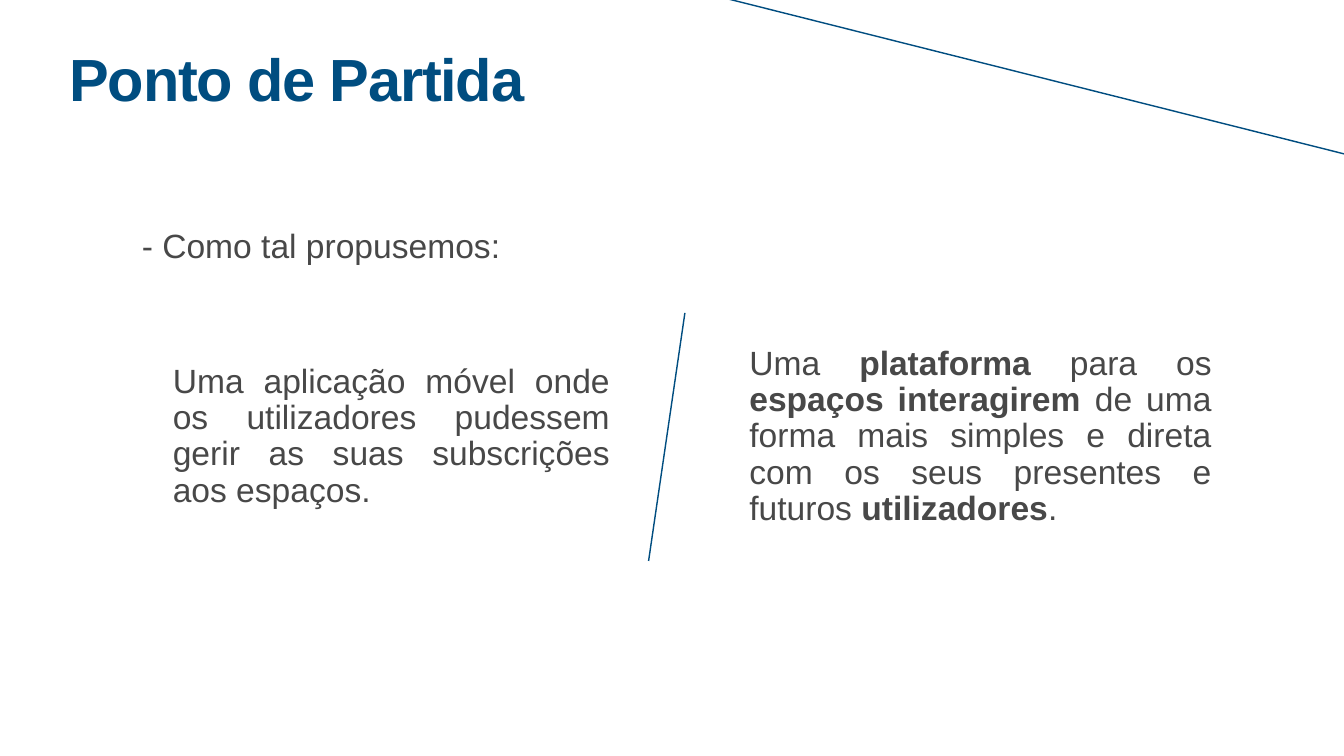
from lxml import etree
from pptx import Presentation
from pptx.dml.color import RGBColor
from pptx.enum import shapes, text
from pptx.oxml import ns
from pptx.util import Cm, Pt

BLUE = RGBColor(0x00, 0x4D, 0x80)
GREY = RGBColor(0x48, 0x48, 0x48)


class SlideBuilder:
    font = "Arial"
    inset = Cm(0.15)
    line_width = Pt(2)

    def __init__(self, slide):
        self.s = slide

    def line(self, x1, y1, x2, y2):
        c = self.s.shapes.add_connector(
            shapes.MSO_CONNECTOR.STRAIGHT, Cm(x1), Cm(y1), Cm(x2), Cm(y2))
        c.line.color.rgb = BLUE
        c.line.width = self.line_width
        etree.SubElement(c._element.spPr, ns.qn("a:effectLst"))

    def text_box(self, x, y, w, h):
        """Add an empty box; return its text frame and first paragraph."""
        sp = self.s.shapes.add_textbox(Cm(x), Cm(y), Cm(w), Cm(h))
        tf = sp.text_frame
        tf.word_wrap = True
        tf.margin_left = tf.margin_right = self.inset
        tf.margin_top = tf.margin_bottom = self.inset
        return tf, tf.paragraphs[0]

    def run(self, p, words, size, color, bold=False):
        r = p.add_run()
        r.text = words
        r.font.name = self.font
        r.font.size = Pt(size)
        r.font.bold = bold
        r.font.color.rgb = color
        return r

    def title(self, words, x, y, w, h):
        tf, p = self.text_box(x, y, w, h)
        p.line_spacing = 0.8
        r = self.run(p, words, 85, BLUE, bold=True)
        r._r.get_or_add_rPr().set("spc", "-170")

    def body(self, runs, x, y, w, h, centred=False):
        """Add a justified paragraph from (words, bold) pairs."""
        tf, p = self.text_box(x, y, w, h)
        if centred:
            tf.vertical_anchor = text.MSO_ANCHOR.MIDDLE
            tf.auto_size = text.MSO_AUTO_SIZE.SHAPE_TO_FIT_TEXT
        p.alignment = text.PP_ALIGN.JUSTIFY
        p.line_spacing = 0.9
        p.space_before = Pt(45)
        for words, bold in runs:
            self.run(p, words, 48, GREY, bold)


def main():
    prs = Presentation()
    prs.slide_width, prs.slide_height = Cm(67.74), Cm(38.1)
    b = SlideBuilder(prs.slides.add_slide(prs.slide_layouts[6]))

    b.line(19.94, -4.27, 73.25, 9.14)
    b.title("Ponto de Partida", 3.35, 2.64, 61.04, 3.99)
    b.body([(" - Como tal propusemos:", False)], 6.53, 11.43, 27.64, 22.94)

    mobile_app = [
        ("Uma aplicação móvel onde os utilizadores pudessem gerir as suas "
         "subscrições aos espaços.", False),
    ]
    platform = [
        ("Uma ", False),
        ("plataforma", True),
        (" para os ", False),
        ("espaços interagirem", True),
        (" de uma forma mais simples e direta com os seus presentes e "
         "futuros ", False),
        ("utilizadores", True),
        (".", False),
    ]
    b.body(mobile_app, 8.56, 18.16, 22.33, 7.7, centred=True)
    b.body(platform, 37.62, 17.22, 23.6, 9.6, centred=True)
    b.line(34.52, 15.77, 32.69, 28.27)

    prs.save("out.pptx")


if __name__ == "__main__":
    main()
